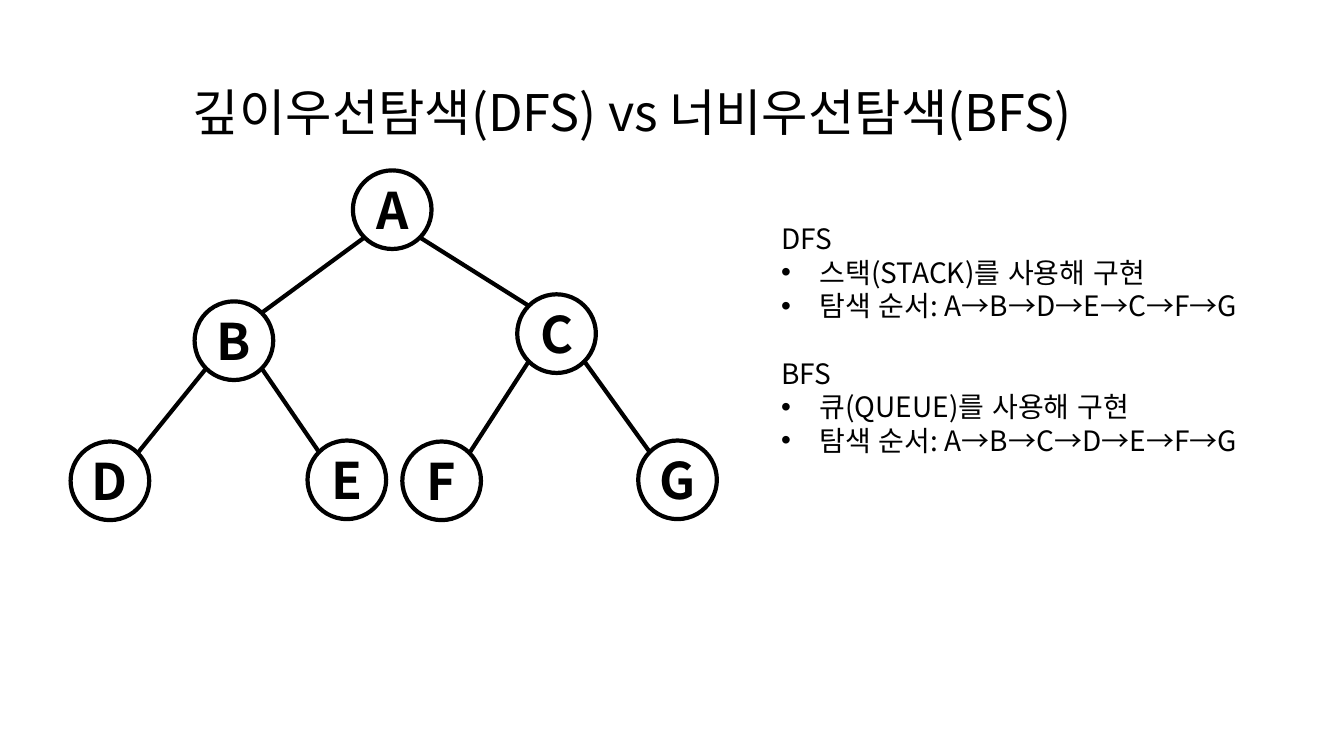
from lxml import etree
from pptx import Presentation
from pptx.dml.color import RGBColor
from pptx.enum.shapes import MSO_CONNECTOR, MSO_SHAPE
from pptx.enum.text import MSO_ANCHOR, PP_ALIGN
from pptx.oxml.ns import qn
from pptx.util import Inches, Pt

OVAL = MSO_SHAPE.OVAL
LINE = MSO_CONNECTOR.STRAIGHT
MIDDLE, BOTTOM = MSO_ANCHOR.MIDDLE, MSO_ANCHOR.BOTTOM
CENTER = PP_ALIGN.CENTER
BLACK = RGBColor(0, 0, 0)
FONT = "Noto Sans CJK KR"
SIZE = 0.78
REACH = SIZE / 2 * 0.71

NODES = {
    "A": (3.19, 0.39),
    "B": (1.62, 1.69),
    "C": (4.82, 1.62),
    "D": (0.39, 3.08),
    "E": (2.74, 3.07),
    "F": (3.68, 3.08),
    "G": (6.02, 3.07),
}
EDGES = ["AB", "AC", "BD", "BE", "CF", "CG"]
NOTES = [
    ("DFS", ["스택(STACK)를 사용해 구현", "탐색 순서: A→B→D→E→C→F→G"]),
    ("BFS", ["큐(QUEUE)를 사용해 구현", "탐색 순서: A→B→C→D→E→F→G"]),
]


def write(para, text, size, bold=False):
    run = para.add_run()
    run.text = text
    font = para.font
    font.size, font.bold, font.name = Pt(size), bold, FONT
    font.color.rgb = BLACK
    props = run._r.get_or_add_rPr()
    props.set("lang", "ko-KR")
    for tag in ("a:latin", "a:ea"):
        etree.SubElement(props, qn(tag)).set("typeface", FONT)


def add_box(slide, box):
    frame = slide.shapes.add_textbox(*map(Inches, box)).text_frame
    frame.word_wrap = True
    return frame


def add_title(slide, box):
    frame = add_box(slide, box)
    frame.vertical_anchor = BOTTOM
    para = frame.paragraphs[0]
    para.alignment, para.line_spacing = CENTER, 0.9
    write(para, "깊이우선탐색(DFS) vs 너비우선탐색(BFS)", 36)


def add_node(slide, name, x, y):
    node = slide.shapes.add_shape(
        OVAL, Inches(x - SIZE / 2), Inches(y - SIZE / 2), Inches(SIZE), Inches(SIZE))
    node.shadow.inherit = False
    node.fill.background()
    node.line.color.rgb, node.line.width = BLACK, Pt(3)
    frame = node.text_frame
    frame.margin_left = frame.margin_right = 0
    frame.margin_top = frame.margin_bottom = 0
    frame.vertical_anchor, frame.word_wrap = MIDDLE, False
    para = frame.paragraphs[0]
    para.alignment = CENTER
    write(para, name, 36, True)


def add_edge(slide, top, low):
    side = REACH if low[0] > top[0] else -REACH
    ends = (top[0] + side, top[1] + REACH, low[0] - side, low[1] - REACH)
    edge = slide.shapes.add_connector(LINE, *map(Inches, ends))
    edge.line.color.rgb, edge.line.width = BLACK, Pt(3)
    etree.SubElement(edge._element.spPr, qn("a:effectLst"))


def add_tree(slide, left, top):
    spots = {name: (left + x, top + y) for name, (x, y) in NODES.items()}
    for head, tail in EDGES:
        add_edge(slide, spots[head], spots[tail])
    for name, spot in spots.items():
        add_node(slide, name, *spot)


def add_bullet(para):
    props = para._p.get_or_add_pPr()
    props.set("marL", str(Inches(0.38)))
    props.set("indent", str(-Inches(0.38)))
    etree.SubElement(props, qn("a:buFont")).set("typeface", "Arial")
    etree.SubElement(props, qn("a:buChar")).set("char", "•")


def add_notes(slide, box):
    frame = add_box(slide, box)
    for row, (head, items) in enumerate(NOTES):
        para = frame.add_paragraph() if row else frame.paragraphs[0]
        if row:
            para.space_before = Pt(24)
        write(para, head, 20)
        for item in items:
            para = frame.add_paragraph()
            add_bullet(para)
            write(para, item, 20)


def main():
    deck = Presentation()
    deck.slide_width, deck.slide_height = Inches(13.33), Inches(7.5)
    slide = deck.slides.add_slide(deck.slide_layouts[6])
    add_title(slide, (1.27, 0.3, 10, 1.16))
    add_tree(slide, 0.7, 1.69)
    add_notes(slide, (7.65, 2.15, 6.2, 2.46))
    deck.save("out.pptx")


if __name__ == "__main__":
    main()
